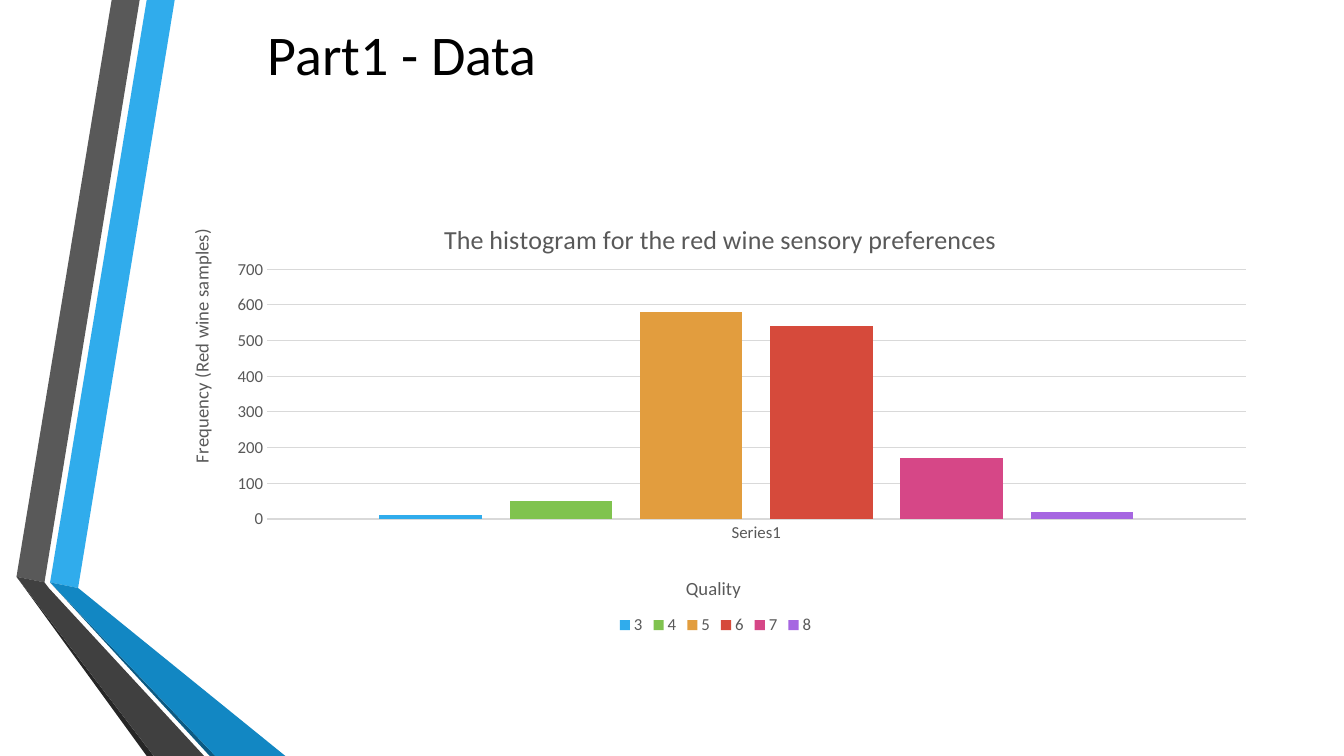
from lxml.etree import fromstring
from pptx import Presentation
from pptx.chart.data import CategoryChartData
from pptx.dml.color import RGBColor
from pptx.enum.chart import XL_CHART_TYPE, XL_LEGEND_POSITION, XL_TICK_MARK
from pptx.enum.text import MSO_ANCHOR
from pptx.oxml.ns import nsdecls, qn
from pptx.util import Pt

FONT = "Calibri"
COLORS = {
    "title": "000000", "label": "595959", "grid": "D9D9D9",
    "blue": "30ACEC", "blue_fold": "1287C3", "blue_edge": "0C5A82",
    "gray": "595959", "gray_fold": "404040", "gray_edge": "262626",
}
# Wine quality score: (number of samples, bar colour)
SAMPLES = {
    "3": (10, "30ACEC"), "4": (50, "80C34F"), "5": (580, "E29D3E"),
    "6": (540, "D64A3B"), "7": (170, "D64787"), "8": (20, "A666E1"),
}
# Ribbon outlines in points, from the ribbon box's top left corner
RIBBONS = [
    ("blue", [(24, 416), (44, 419.6), (113, 0), (93, 0)]),
    ("gray", [(88.5, 0), (68.5, 0), (0, 412.5), (20, 415.5)]),
    ("gray_edge", [(0, 412.5), (93, 540), (97.5, 540)]),
    ("blue_edge", [(24, 416.5), (138, 540), (142.5, 540)]),
    ("blue_fold", [(24, 416), (142.5, 540), (192, 540), (44, 419.6)]),
    ("gray_fold", [(133.5, 540), (23, 419.6), (20, 415.5), (0, 412.5), (97.5, 540)]),
]


def rgb(value):
    """Turn a hex string into a colour."""
    return RGBColor.from_string(value)


def style_font(font, size, color):
    """Give a font the deck's typeface, a size and a colour."""
    font.name, font.size, font.bold = FONT, Pt(size), False
    font.color.rgb = rgb(color)


def add_ribbons(page, left, top):
    """Draw the two folded ribbons from the given corner."""
    for color, points in RIBBONS:
        builder = page.shapes.build_freeform(*points[0], scale=Pt(1))
        builder.add_line_segments(points[1:], close=True)
        ribbon = builder.convert_to_shape(Pt(left), Pt(top))
        ribbon.shadow.inherit = False
        ribbon.fill.solid()
        ribbon.fill.fore_color.rgb = rgb(COLORS[color])
        ribbon.line.fill.background()


def add_title(page, left, top, width, height):
    """Place the slide title in its box."""
    box = page.shapes.add_textbox(Pt(left), Pt(top), Pt(width), Pt(height))
    frame = box.text_frame
    frame.word_wrap = True
    frame.vertical_anchor = MSO_ANCHOR.MIDDLE
    frame.text = "Part1 - Data"
    style_font(frame.paragraphs[0].runs[0].font, 40, COLORS["title"])


def make_layout(target="", **fractions):
    """Build a manual chart layout from fractions of the chart's size."""
    parts = [f'<c:layoutTarget val="{target}"/>'] if target else []
    parts += [f'<c:{key}Mode val="edge"/>' for key in "xy"]
    parts += [f'<c:{key} val="{value}"/>' for key, value in fractions.items()]
    return fromstring(f'<c:layout {nsdecls("c")}><c:manualLayout>'
                      f'{"".join(parts)}</c:manualLayout></c:layout>')


def drop_layout(element):
    """Remove the automatic layout of a chart part."""
    for layout in element.findall(qn("c:layout")):
        element.remove(layout)


def set_chart_title(title, text, size, x, y):
    """Write a chart or axis title and fix its place."""
    title.text_frame.text = text
    style_font(title.text_frame.paragraphs[0].runs[0].font, size, COLORS["label"])
    element = title._element
    drop_layout(element)
    element.find(qn("c:tx")).addnext(make_layout(x=x, y=y))


def add_histogram(page, left, top, width, height):
    """Place the wine quality column chart in its box."""
    data = CategoryChartData()
    data.categories = ["Series1"]
    for score, (count, _) in SAMPLES.items():
        data.add_series(score, [count])
    chart = page.shapes.add_chart(
        XL_CHART_TYPE.COLUMN_CLUSTERED, Pt(left), Pt(top), Pt(width), Pt(height), data).chart
    style_font(chart.font, 12, COLORS["label"])

    plot = chart.plots[0]
    plot.gap_width, plot.overlap, plot.vary_by_categories = 219, -27, False
    for series, (_, color) in zip(plot.series, SAMPLES.values()):
        series.format.fill.solid()
        series.format.fill.fore_color.rgb = rgb(color)

    category_axis, value_axis = chart.category_axis, chart.value_axis
    for axis in (category_axis, value_axis):
        axis.major_tick_mark = axis.minor_tick_mark = XL_TICK_MARK.NONE
        style_font(axis.tick_labels.font, 12, COLORS["label"])
    value_axis.minimum_scale, value_axis.maximum_scale = 0, 700
    value_axis.major_unit = 100
    value_axis.format.line.fill.background()
    for line in (category_axis.format.line, value_axis.major_gridlines.format.line):
        line.color.rgb = rgb(COLORS["grid"])
        line.width = Pt(0.75)

    set_chart_title(chart.chart_title, "The histogram for the red wine sensory preferences",
                    18.6, 0.25, 0.05)
    set_chart_title(category_axis.axis_title, "Quality", 13.3, 0.47, 0.85)
    set_chart_title(value_axis.axis_title, "Frequency (Red wine samples)", 13.3, 0.02, 0.07)
    value_axis.axis_title.text_frame._txBody.bodyPr.set("rot", "-5400000")

    plot_area = chart._chartSpace.chart.plotArea
    drop_layout(plot_area)
    plot_area.insert(0, make_layout("inner", x=0.094, y=0.168, w=0.886, h=0.562))

    chart.has_legend = True
    chart.legend.position = XL_LEGEND_POSITION.BOTTOM
    chart.legend.include_in_layout = False
    style_font(chart.legend.font, 12, COLORS["label"])


def add_data_slide(deck):
    """Add the slide with ribbons, title and histogram."""
    page = deck.slides.add_slide(deck.slide_layouts[6])
    add_ribbons(page, 11.8, 0)
    add_title(page, 184.3, 2.9, 789, 70.5)
    add_histogram(page, 116.6, 139, 789, 317.5)


deck = Presentation()
deck.slide_width, deck.slide_height = Pt(960), Pt(540)
add_data_slide(deck)
deck.save("out.pptx")
